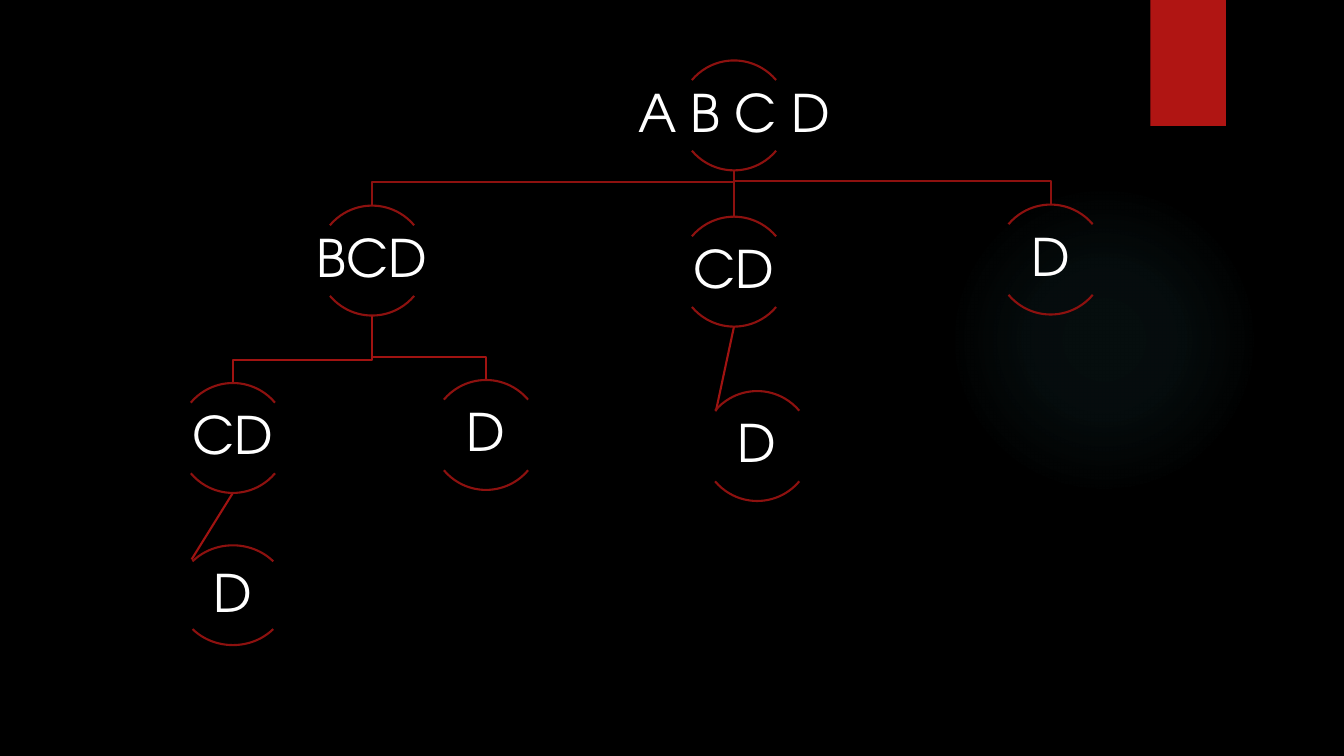
"""Draw a tree of letter subsets on a dark slide."""
from dataclasses import dataclass

from lxml import etree
from pptx import Presentation
from pptx.dml.color import RGBColor
from pptx.enum.shapes import MSO_CONNECTOR as Wire, MSO_SHAPE as Kind
from pptx.enum.text import MSO_ANCHOR as Anchor, PP_ALIGN as Align
from pptx.oxml.ns import qn
from pptx.util import Inches, Pt

NODES = {
    "root": ("A B C D", 7.28, 0.6, 1.09),
    "bcd": ("BCD", 3.69, 2.04, 1.09),
    "bcd-d": ("D", 4.82, 3.77, 1.09),
    "bcd-cd": ("CD", 2.31, 3.8, 1.09),
    "bcd-cd-d": ("D", 2.31, 5.41, 0.99),
    "cd": ("CD", 7.28, 2.15, 1.09),
    "cd-d": ("D", 7.51, 3.88, 1.09),
    "d": ("D", 10.42, 2.03, 1.09),
}
BENT = [("root", "d"), ("bcd", "bcd-cd"), ("bcd", "bcd-d"), ("root", "bcd")]
DIRECT = [("root", "cd", 0, 0), ("cd", "cd-d", 0.41, 0.2),
          ("bcd-cd", "bcd-cd-d", 0.41, 0.14)]
ARCS = [(132, 192), (24, 84)]
ARC_W, TEXT_W, BEND = 1.09, 2.18, 0.23


@dataclass(frozen=True)
class Theme:
    back: str = "000000"
    text: str = "FFFFFF"
    tab: str = "B01513"
    dark: str = "8D110F"
    link: str = "A01311"
    glow: str = "50B9C1"
    font: str = "TeX Gyre Adventor"
    size: float = 37
    line: float = 1.5


THEME = Theme()


def rgb(code):
    return RGBColor.from_string(code)


def box(*sides):
    return [Inches(side) for side in sides]


def add(node, tag, **attrs):
    return etree.SubElement(node, qn(tag), attrs)


def stroke(item, color):
    item.line.color.rgb = rgb(color)
    item.line.width = Pt(THEME.line)


def plain(shapes, kind, *sides):
    item = shapes.add_shape(kind, *box(*sides))
    item.shadow.inherit = False
    item.fill.background()
    item.line.fill.background()
    return item


def write(shapes, text, sides, size=THEME.size, color=THEME.text):
    frame = shapes.add_textbox(*box(*sides)).text_frame
    frame.word_wrap = True
    frame.vertical_anchor = Anchor.MIDDLE
    frame.margin_left = frame.margin_right = Inches(0.03)
    frame.margin_top = frame.margin_bottom = Inches(0.03)
    para = frame.paragraphs[0]
    para.alignment = Align.CENTER
    para.line_spacing = 0.9
    after = add(para._p.get_or_add_pPr(), "a:spcAft")
    add(after, "a:spcPct", val="35000")
    run = para.add_run()
    run.text = text
    run.font.name = THEME.font
    run.font.size = Pt(size)
    run.font.color.rgb = rgb(color)


def shade(shapes):
    glow = plain(shapes, Kind.OVAL, 9.41, 1.83, 3.08, 3.08)
    glow.fill.gradient()
    grad = glow._element.spPr.find(qn("a:gradFill"))
    for part in list(grad):
        grad.remove(part)
    stops = add(grad, "a:gsLst")
    for place, alpha in [(0, 7), (36, 6), (69, 0)]:
        stop = add(stops, "a:gs", pos=str(place * 1000))
        color = add(stop, "a:srgbClr", val=THEME.glow)
        add(color, "a:alpha", val=str(alpha * 1000))
    way = add(grad, "a:path", path="circle")
    add(way, "a:fillToRect", l="50000", t="50000", r="50000", b="50000")

    tab = plain(shapes, Kind.RECTANGLE, 11.41, 0, 0.75, 1.25)
    tab.fill.solid()
    tab.fill.fore_color.rgb = rgb(THEME.tab)
    cast = add(tab._element.spPr.find(qn("a:effectLst")), "a:outerShdw",
               blurRad=str(Pt(3)), dist=str(Pt(2)), dir="5400000")
    add(add(cast, "a:srgbClr", val=THEME.back), "a:alpha", val="45000")


def ends(top, low):
    _, left, start, height = NODES[top]
    _, right, stop, _ = NODES[low]
    return left, start + height, right, stop


def tint(top):
    return THEME.dark if top == "root" else THEME.link


def bend(shapes, top, low):
    left, start, right, stop = ends(top, low)
    turn = stop - BEND
    path = [box(*spot) for spot in
            [(left, start), (left, turn), (right, turn), (right, stop)]]
    pen = shapes.build_freeform(*path[0])
    pen.add_line_segments(path[1:], close=False)
    item = pen.convert_to_shape()
    item.shadow.inherit = False
    item.fill.background()
    stroke(item, tint(top))


def direct(shapes, top, low, side, drop):
    left, start, right, stop = ends(top, low)
    item = shapes.add_connector(
        Wire.STRAIGHT, *box(left, start, right - side, stop + drop))
    add(item._element.spPr, "a:effectLst")
    stroke(item, tint(top))


def node(shapes, text, mid, top, height):
    for angles in ARCS:
        arc = plain(shapes, Kind.ARC, mid - ARC_W / 2, top, ARC_W, height)
        arc.adjustments[0], arc.adjustments[1] = angles
        stroke(arc, THEME.dark)
    write(shapes, text, (mid - TEXT_W / 2, top + height * 0.18,
                         TEXT_W, height * 0.64))


def main():
    deck = Presentation()
    deck.slide_width, deck.slide_height = box(13.33, 7.5)
    slide = deck.slides.add_slide(deck.slide_layouts[6])
    slide.background.fill.solid()
    slide.background.fill.fore_color.rgb = rgb(THEME.back)
    shade(slide.shapes)
    tree = slide.shapes.add_group_shape().shapes
    for pair in BENT:
        bend(tree, *pair)
    for link in DIRECT:
        direct(tree, *link)
    for item in NODES.values():
        node(tree, *item)
    deck.save("out.pptx")


if __name__ == "__main__":
    main()
